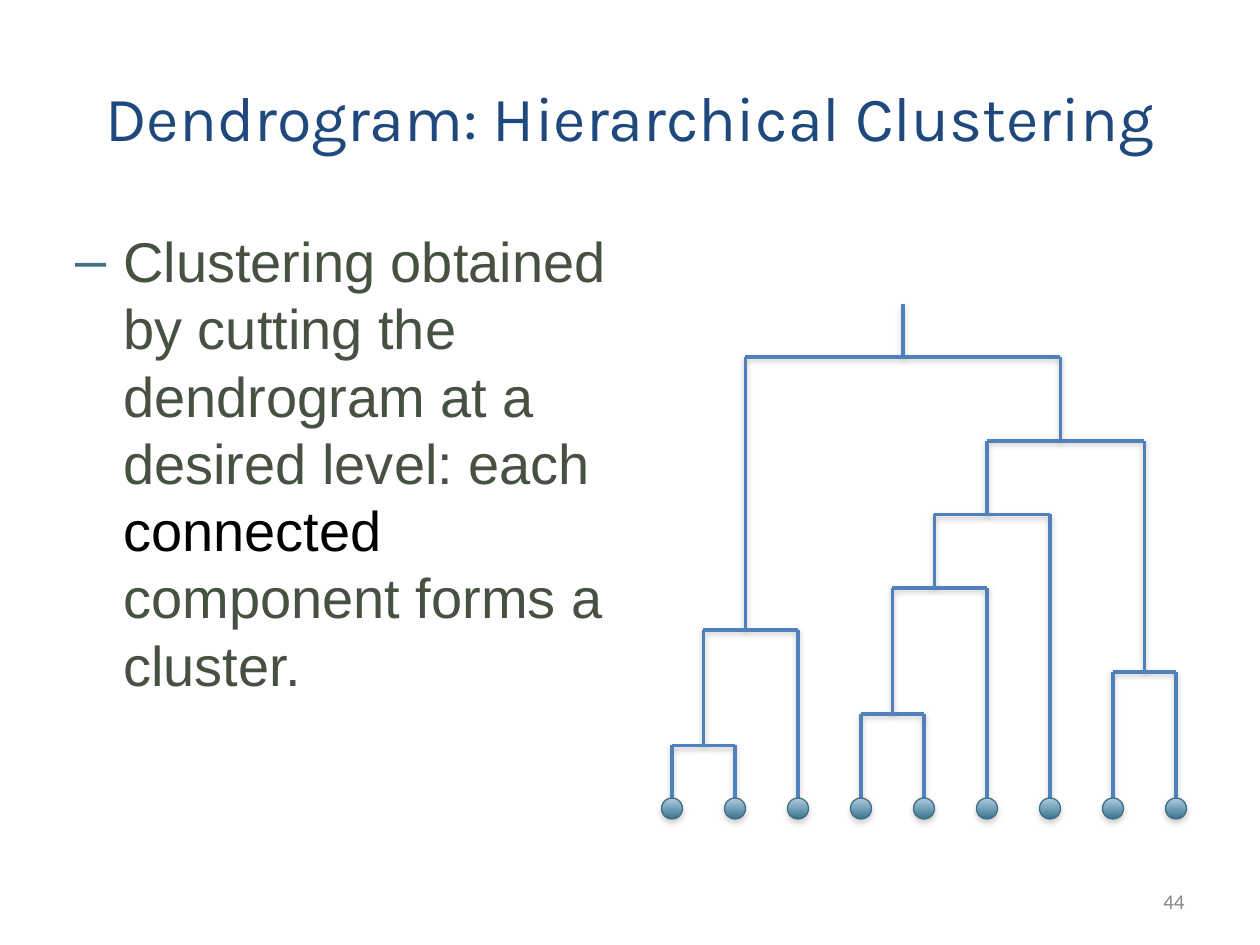
from dataclasses import dataclass

from lxml import etree
from pptx import Presentation
from pptx.dml.color import RGBColor
from pptx.enum import shapes, text
from pptx.oxml import ns
from pptx.util import Inches, Pt


@dataclass(frozen=True)
class Theme:
    title: str = "1F497D"
    body: str = "465142"
    emphasis: str = "000000"
    bullet: str = "437085"
    number: str = "898989"
    branch: str = "4F81BD"
    leaf_edge: str = "406E84"
    leaf_gradient: tuple[str, str] = ("AFCCDF", "39748F")
    shadow: str = "808080"
    title_size: int = 36
    body_size: int = 32
    number_size: int = 12
    branch_width: float = 2
    leaf_edge_width: float = 0.75


@dataclass(frozen=True)
class Run:
    text: str
    font: str
    size: int
    color: str


@dataclass(frozen=True)
class Node:
    """Point of the tree, in grid units, from which a branch rises."""
    x: int
    y: int


@dataclass(frozen=True)
class Merge:
    """Joins the open nodes at two positions, at a height in grid units."""
    left: int
    right: int
    y: int


THEME = Theme()
UNITS_PER_INCH = 12
LEAF_COUNT, FIRST_LEAF, LEAF_STEP, LEAF_TOP, LEAF_SIZE = 9, 64, 6, 76, 2
ROOT_TOP = 29
# Each merge replaces its left node and removes its right one.
MERGES = [
    Merge(0, 1, 71), Merge(3, 4, 68), Merge(7, 8, 64),
    Merge(0, 2, 60), Merge(3, 5, 56), Merge(3, 6, 49),
    Merge(3, 7, 42), Merge(0, 3, 34),
]


def grid(units: float) -> int:
    return Inches(units / UNITS_PER_INCH)


def add_text(slide, box: tuple, runs: list[Run], align, anchor):
    shape = slide.shapes.add_textbox(*map(Inches, box))
    frame = shape.text_frame
    for name, value in {"word_wrap": True, "vertical_anchor": anchor}.items():
        setattr(frame, name, value)
    paragraph = frame.paragraphs[0]
    paragraph.alignment = align
    for item in runs:
        run = paragraph.add_run()
        run.text = item.text
        for name, value in {"name": item.font, "size": Pt(item.size)}.items():
            setattr(run.font, name, value)
        run.font.color.rgb = RGBColor.from_string(item.color)
    return paragraph


def add_dash_bullet(paragraph) -> None:
    properties = paragraph._p.get_or_add_pPr()
    properties.set("marL", str(Inches(0.38)))
    properties.set("indent", str(-Inches(0.38)))
    color = etree.SubElement(properties, ns.qn("a:buClr"))
    etree.SubElement(color, ns.qn("a:srgbClr"), val=THEME.bullet)
    etree.SubElement(properties, ns.qn("a:buFont"), typeface="Arial")
    etree.SubElement(properties, ns.qn("a:buChar"), char="–")


def add_shadow(shape, distance: float, opacity: int) -> None:
    """Append a soft downward shadow; fill and line must be set before."""
    effects = etree.SubElement(shape._element.spPr, ns.qn("a:effectLst"))
    shadow = etree.SubElement(
        effects, ns.qn("a:outerShdw"), blurRad=str(Pt(3.1)),
        dist=str(Pt(distance)), dir="5400000", rotWithShape="0")
    color = etree.SubElement(shadow, ns.qn("a:srgbClr"), val=THEME.shadow)
    etree.SubElement(color, ns.qn("a:alpha"), val=str(opacity * 1000))


def add_branch(slide, start: Node, end: Node) -> None:
    line = slide.shapes.add_connector(
        shapes.MSO_CONNECTOR.STRAIGHT,
        *map(grid, (start.x, start.y, end.x, end.y)))
    line.line.color.rgb = RGBColor.from_string(THEME.branch)
    line.line.width = Pt(THEME.branch_width)
    add_shadow(line, 1.6, 38)


def add_leaf(slide, leaf: Node) -> None:
    shape = slide.shapes.add_shape(
        shapes.MSO_SHAPE.OVAL, grid(leaf.x - LEAF_SIZE / 2), grid(leaf.y),
        grid(LEAF_SIZE), grid(LEAF_SIZE))
    shape.fill.gradient()
    shape.fill.gradient_angle = 270
    for position, (stop, color) in enumerate(
            zip(shape.fill.gradient_stops, THEME.leaf_gradient)):
        stop.position = position
        stop.color.rgb = RGBColor.from_string(color)
    shape.line.color.rgb = RGBColor.from_string(THEME.leaf_edge)
    shape.line.width = Pt(THEME.leaf_edge_width)
    add_shadow(shape, 1.8, 35)


def add_dendrogram(slide) -> None:
    leaves = [Node(FIRST_LEAF + LEAF_STEP * i, LEAF_TOP)
              for i in range(LEAF_COUNT)]
    nodes = dict(enumerate(leaves))
    for merge in MERGES:
        children = nodes[merge.left], nodes.pop(merge.right)
        corners = [Node(child.x, merge.y) for child in children]
        for corner, child in zip(corners, children):
            add_branch(slide, corner, child)
        add_branch(slide, *corners)
        middle = (corners[0].x + corners[1].x) // 2
        nodes[merge.left] = Node(middle, merge.y)
    root = nodes[0]
    add_branch(slide, Node(root.x, ROOT_TOP), root)
    for leaf in leaves:
        add_leaf(slide, leaf)


def main() -> None:
    presentation = Presentation()
    presentation.slide_width = Inches(10)
    presentation.slide_height = Inches(7.5)
    slide = presentation.slides.add_slide(presentation.slide_layouts[6])

    align, anchor = text.PP_ALIGN, text.MSO_ANCHOR
    title = Run("Dendrogram: Hierarchical Clustering", "Karla",
                THEME.title_size, THEME.title)
    add_text(slide, (0.5, 0.3, 9, 1.25), [title], align.CENTER, anchor.MIDDLE)
    number = Run("44", "Calibri", THEME.number_size, THEME.number)
    add_text(slide, (7.17, 6.95, 2.33, 0.4), [number],
             align.RIGHT, anchor.MIDDLE)

    add_dendrogram(slide)

    body = [
        Run(words, "Arial", THEME.body_size, color) for words, color in (
            ("Clustering obtained by cutting the dendrogram at a desired "
             "level: each ", THEME.body),
            ("connected", THEME.emphasis),
            (" component forms a cluster.", THEME.body),
        )
    ]
    paragraph = add_text(slide, (0.5, 1.75, 4.42, 4.95), body,
                         align.LEFT, anchor.TOP)
    for name, value in {"line_spacing": Pt(38.4),
                        "space_before": Pt(2)}.items():
        setattr(paragraph, name, value)
    add_dash_bullet(paragraph)
    presentation.save("out.pptx")


if __name__ == "__main__":
    main()
